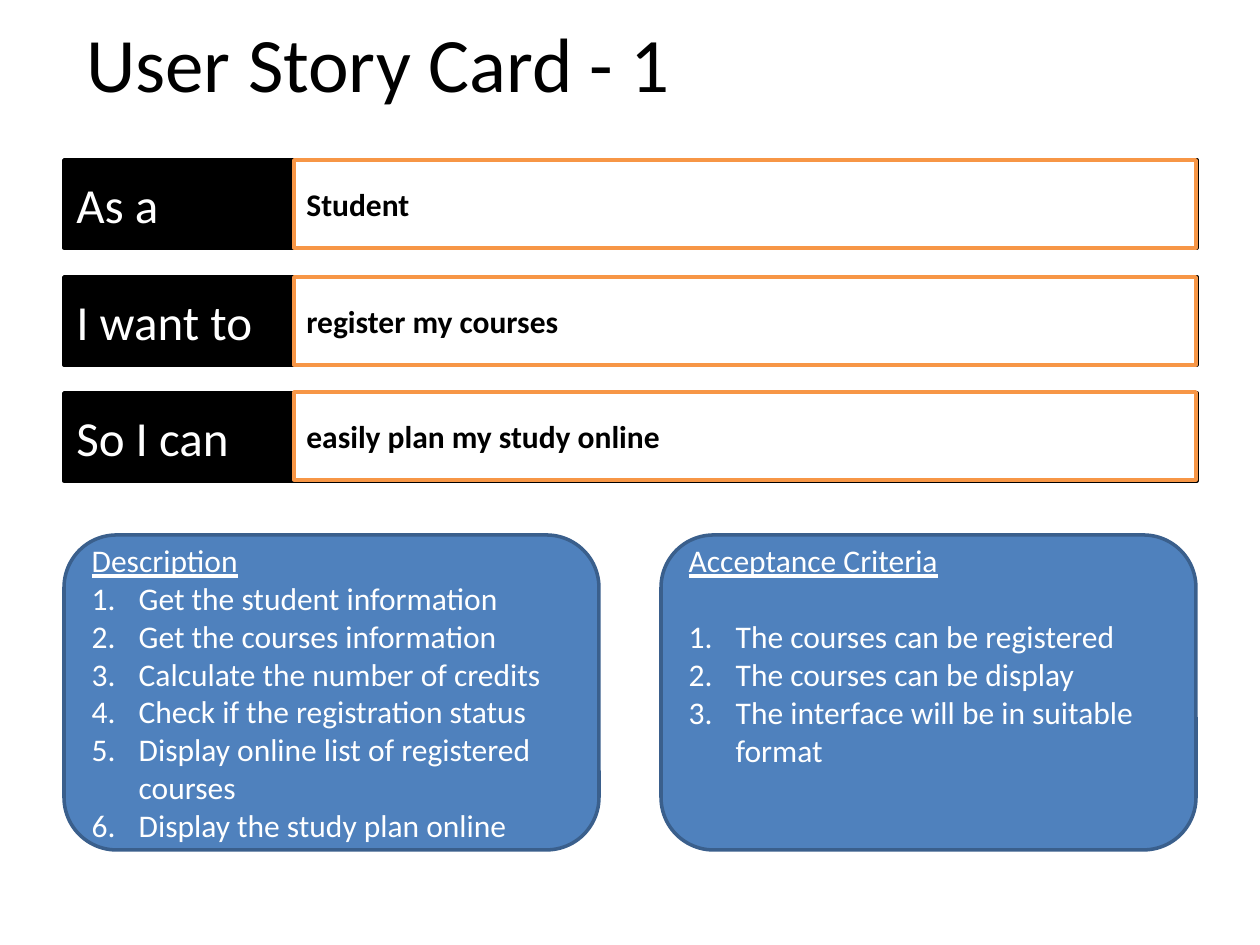
from lxml import etree
from pptx import Presentation
from pptx.dml.color import RGBColor
from pptx.enum.shapes import MSO_SHAPE as Shape
from pptx.enum.text import MSO_ANCHOR as Anchor, PP_ALIGN as Align
from pptx.oxml.ns import qn
from pptx.util import Emu, Pt

PX = 914400 / 126


def px(length):
    return Emu(round(length * PX))


def add_box(kind, place, lines, fill, line, **font):
    """Add a filled shape, or a plain text box when kind is None."""
    place = [px(length) for length in place]
    if kind is None:
        shape = slide.shapes.add_textbox(*place)
    else:
        shape = slide.shapes.add_shape(kind, *place)
        shape.shadow.inherit = False
        shape.fill.solid()
        shape.fill.fore_color.rgb = RGBColor.from_string(fill)
        shape.line.color.rgb = RGBColor.from_string(line)
        shape.line.width = Pt(2)
    frame = shape.text_frame
    frame.word_wrap = True
    frame.vertical_anchor = Anchor.MIDDLE
    color = RGBColor.from_string(font.pop("color"))
    frame.text = "\n".join(lines)
    for paragraph in frame.paragraphs:
        paragraph.alignment = Align.LEFT
        for run in paragraph.runs:
            run.font.name = "Calibri"
            run.font.color.rgb = color
            for name, value in font.items():
                setattr(run.font, name, value)
    return frame


presentation = Presentation()
presentation.slide_width, presentation.slide_height = px(1260), px(945)
slide = presentation.slides.add_slide(presentation.slide_layouts[6])

title = add_box(None, (21, 18, 715, 88), ["User Story Card - 1"], None, None,
                color="000000", size=Pt(44))
title.paragraphs[0].alignment = Align.CENTER

story_rows = [
    (160, 160, "As a", "Student"),
    (277, 277, "I want to", "register my courses"),
    (393, 392, "So I can", "easily plan my study online"),
]
for label_top, answer_top, label, answer in story_rows:
    add_box(Shape.RECTANGLE, (64, label_top, 1133, 88), [label],
            "000000", "000000", color="FFFFFF", size=Pt(28))
    add_box(Shape.RECTANGLE, (294, answer_top, 902, 88), [answer],
            "FFFFFF", "F79646", color="000000", size=Pt(18), bold=True)

# left, space after the heading in points, bottom margin, heading, items
cards = [
    (64, 0, 6, "Description", [
        "Get the student information",
        "Get the courses information",
        "Calculate the number of credits",
        "Check if the registration status",
        "Display online list of registered courses",
        "Display the study plan online",
    ]),
    (661, 22, 81, "Acceptance Criteria", [
        "The courses can be registered",
        "The courses can be display",
        "The interface will be in suitable format",
    ]),
]
for left, heading_gap, bottom_margin, heading, items in cards:
    frame = add_box(Shape.ROUNDED_RECTANGLE, (left, 535, 535, 315), [heading, *items],
                    "4F81BD", "3A5F8C", color="FFFFFF", size=Pt(18))
    frame.margin_top, frame.margin_bottom = px(6), px(bottom_margin)
    heading_paragraph, *item_paragraphs = frame.paragraphs
    heading_paragraph.runs[0].font.underline = True
    heading_paragraph.space_after = Pt(heading_gap)
    for paragraph in item_paragraphs:
        properties = paragraph._p.get_or_add_pPr()
        properties.set("marL", str(px(47)))
        properties.set("indent", str(-px(47)))
        etree.SubElement(properties, qn("a:buFont"), typeface="+mj-lt")
        etree.SubElement(properties, qn("a:buAutoNum"), type="arabicPeriod")

presentation.save("out.pptx")
